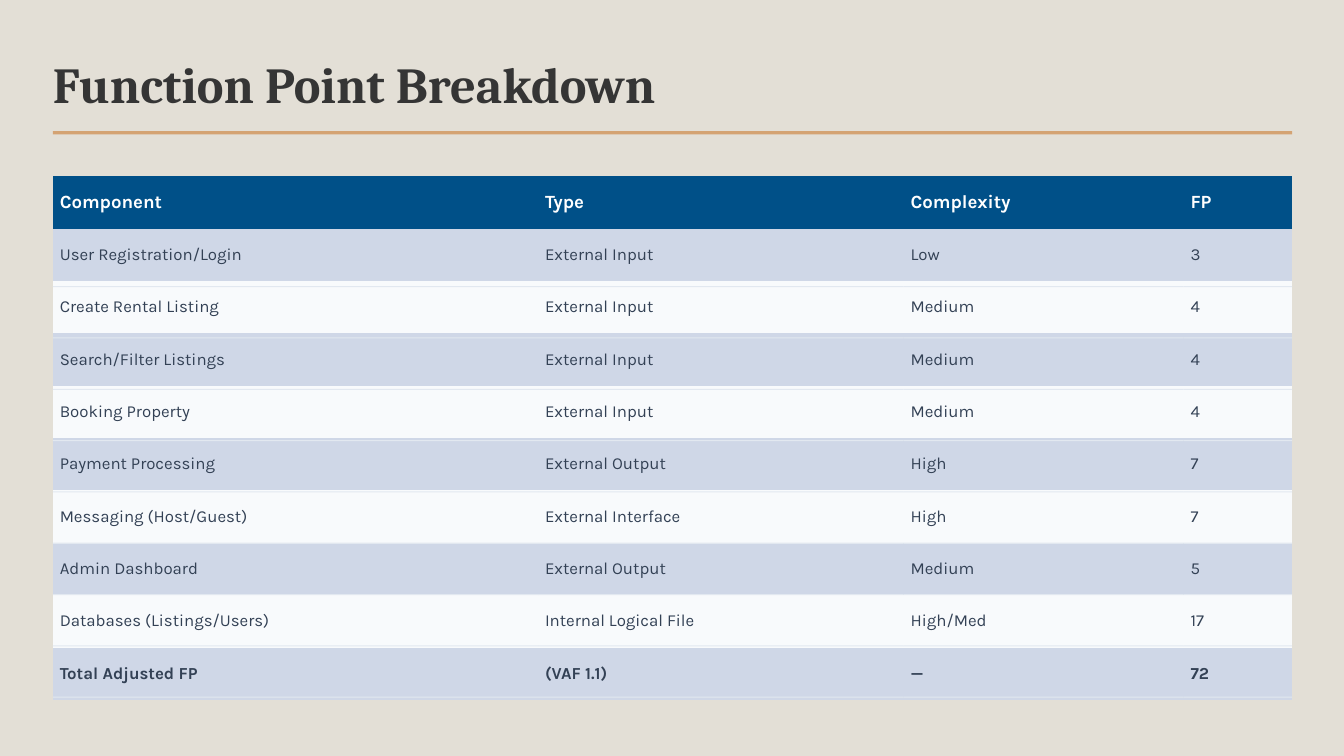
from pptx import Presentation
from pptx.dml.color import RGBColor
from pptx.enum.shapes import MSO_SHAPE
from pptx.enum.text import MSO_ANCHOR, MSO_AUTO_SIZE, PP_ALIGN
from pptx.util import Cm, Pt

COLORS = {
    "background": "E3DFD6",
    "title": "353535",
    "accent": "D4A373",
    "header": "005088",
    "header_text": "FFFFFF",
    "odd_row": "CFD7E7",
    "even_row": "F8FAFC",
    "body_text": "334155",
    "divider": "E2E8F0",
}
LEFT, WIDTH = 1.0, 23.42
COLUMN_WIDTHS = [9.17, 6.91, 5.29, 2.05]
ROW_HEIGHT = 0.99
DIVIDER_TOP, DIVIDER_STEP = 5.41, 0.97

BREAKDOWN = [
    ("Component", "Type", "Complexity", "FP"),
    ("User Registration/Login", "External Input", "Low", "3"),
    ("Create Rental Listing", "External Input", "Medium", "4"),
    ("Search/Filter Listings", "External Input", "Medium", "4"),
    ("Booking Property", "External Input", "Medium", "4"),
    ("Payment Processing", "External Output", "High", "7"),
    ("Messaging (Host/Guest)", "External Interface", "High", "7"),
    ("Admin Dashboard", "External Output", "Medium", "5"),
    ("Databases (Listings/Users)", "Internal Logical File", "High/Med", "17"),
    ("Total Adjusted FP", "(VAF 1.1)", "—", "72"),
]


def color(name):
    return RGBColor.from_string(COLORS[name])


def add_bar(left, top, width, height, fill):
    bar = slide.shapes.add_shape(
        MSO_SHAPE.RECTANGLE, Cm(left), Cm(top), Cm(width), Cm(height))
    bar.shadow.inherit = False
    bar.fill.solid()
    bar.fill.fore_color.rgb = color(fill)
    bar.line.fill.background()


# Slide and background
prs = Presentation()
prs.slide_width, prs.slide_height = Cm(25.4), Cm(14.29)
slide = prs.slides.add_slide(prs.slide_layouts[5])
slide.background.fill.solid()
slide.background.fill.fore_color.rgb = color("background")

# Title with its rule
title = slide.shapes.title
title.left, title.top, title.width, title.height = Cm(LEFT), Cm(1), Cm(24.4), Cm(1.14)
heading = title.text_frame
heading.text = "Function Point Breakdown"
heading.margin_left = heading.margin_right = 0
heading.margin_top = heading.margin_bottom = 0
heading.vertical_anchor = MSO_ANCHOR.TOP
heading.word_wrap = True
heading.auto_size = MSO_AUTO_SIZE.SHAPE_TO_FIT_TEXT
heading_line = heading.paragraphs[0]
heading_line.alignment = PP_ALIGN.LEFT
heading_line.font.name = "Cambria"
heading_line.font.size = Pt(27)
heading_line.font.bold = True
heading_line.font.color.rgb = color("title")
add_bar(LEFT, 2.48, WIDTH, 0.06, "accent")

# Function point table
table = slide.shapes.add_table(
    len(BREAKDOWN), len(COLUMN_WIDTHS), Cm(LEFT), Cm(3.33),
    Cm(WIDTH), Cm(ROW_HEIGHT * len(BREAKDOWN))).table
for column, width in zip(table.columns, COLUMN_WIDTHS):
    column.width = Cm(width)
table.first_row = table.horz_banding = False
# The plain "No Style, No Grid" look leaves only the cell fills
table._tbl.tblPr[0].text = "{2D5ABB26-0587-4C30-8999-92F81FD0307C}"

for r, entries in enumerate(BREAKDOWN):
    is_header, is_total = r == 0, r == len(BREAKDOWN) - 1
    table.rows[r].height = Cm(ROW_HEIGHT)
    fill = "header" if is_header else "odd_row" if r % 2 else "even_row"
    for c, entry in enumerate(entries):
        cell = table.cell(r, c)
        cell.text = entry
        cell.fill.solid()
        cell.fill.fore_color.rgb = color(fill)
        cell.vertical_anchor = MSO_ANCHOR.MIDDLE
        cell.margin_left = cell.margin_right = Cm(0.13)
        cell.margin_top = cell.margin_bottom = Cm(0.05)
        font = cell.text_frame.paragraphs[0].font
        font.name = "Karla"
        font.size = Pt(10 if is_header else 9)
        font.bold = is_header or is_total
        font.color.rgb = color("header_text" if is_header else "body_text")

# Thin dividers, one per body cell
for r in range(len(BREAKDOWN) - 1):
    for c, width in enumerate(COLUMN_WIDTHS):
        add_bar(LEFT + sum(COLUMN_WIDTHS[:c]), DIVIDER_TOP + r * DIVIDER_STEP,
                width, 0.02, "divider")

prs.save("out.pptx")
